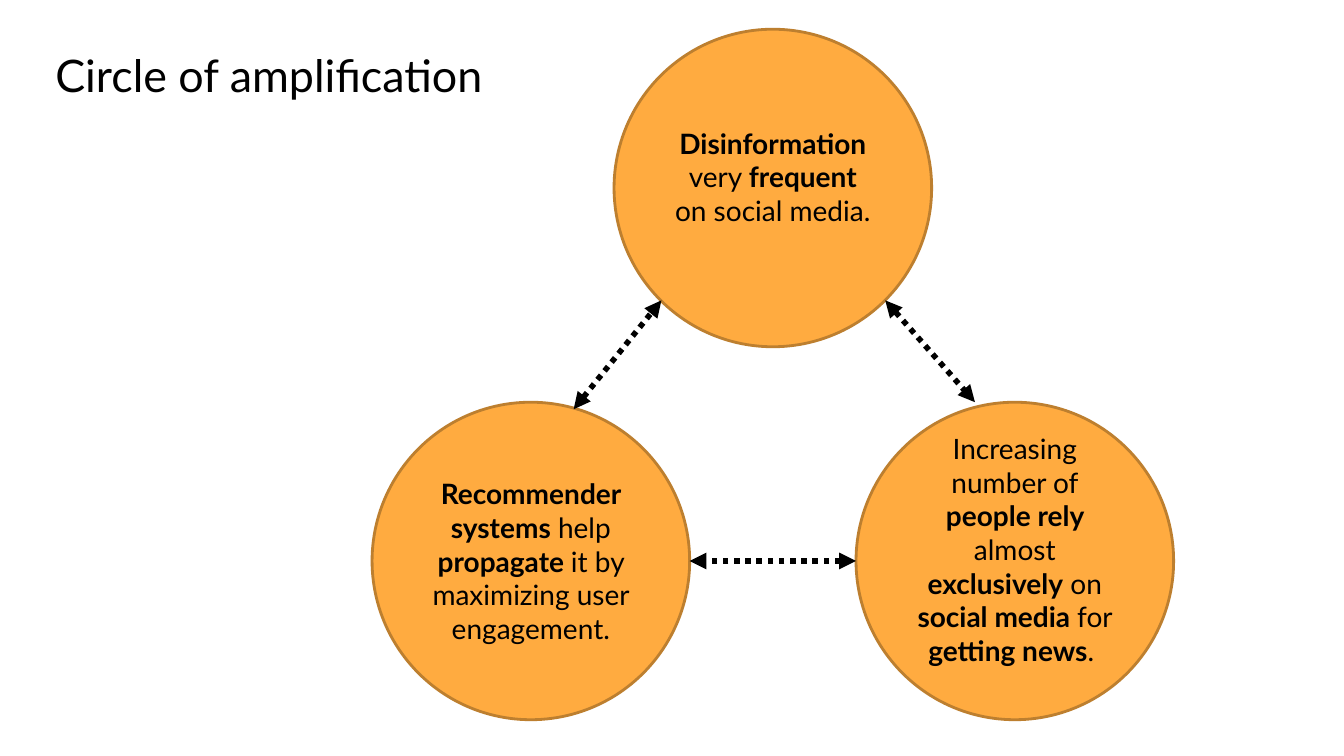
from lxml import etree
from pptx import Presentation
from pptx import util as u
from pptx.dml.color import RGBColor
from pptx.enum import dml, shapes, text
from pptx.oxml.ns import qn

COLORS = {"ink": "000000", "fill": "FFAB40", "edge": "BD7F2F"}
SIZE = 3.15  # circle diameter
LOW = 3.99  # top of the lower row


def color(name):
    return RGBColor.from_string(COLORS[name])


def write(frame, words, font="Lato", size=20, align=None, anchor=None,
          insets=(0.1, 0.1, 0.1, 0.1)):
    """Fill a text frame; stretches between ** marks are bold."""
    frame.word_wrap = True
    frame.vertical_anchor = anchor
    (frame.margin_left, frame.margin_top,
     frame.margin_right, frame.margin_bottom) = map(u.Inches, insets)
    para = frame.paragraphs[0]
    para.alignment = align
    for i, part in enumerate(words.split("**")):
        if part:
            run = para.add_run()
            run.text = part
            run.font.name = font
            run.font.size = u.Pt(size)
            run.font.bold = i % 2 == 1
            run.font.color.rgb = color("ink")


class Deck:
    def __init__(self):
        self.prs = Presentation()
        self.prs.slide_width = u.Inches(13.33)
        self.prs.slide_height = u.Inches(7.5)
        self.slide = self.prs.slides.add_slide(self.prs.slide_layouts[6])

    def title(self, words, *box):
        shape = self.slide.shapes.add_textbox(*map(u.Inches, box))
        write(shape.text_frame, words, size=32, anchor=text.MSO_ANCHOR.TOP)

    def circle(self, words, left, top, lift=0):
        """Add a circle; lift is extra room below its text."""
        shape = self.slide.shapes.add_shape(
            shapes.MSO_SHAPE.OVAL, *map(u.Inches, (left, top, SIZE, SIZE)))
        shape.shadow.inherit = False
        shape.fill.solid()
        shape.fill.fore_color.rgb = color("fill")
        shape.line.color.rgb = color("edge")
        shape.line.width = u.Pt(2)
        write(shape.text_frame, words, align=text.PP_ALIGN.CENTER,
              anchor=text.MSO_ANCHOR.MIDDLE, insets=(0.1, 0, 0.1, lift))

    def arrow(self, *ends):
        """Add a dotted line with a head at both ends."""
        link = self.slide.shapes.add_connector(
            shapes.MSO_CONNECTOR.STRAIGHT, *map(u.Inches, ends))
        link.line.color.rgb = color("ink")
        link.line.width = u.Pt(4)
        link.line.dash_style = dml.MSO_LINE.ROUND_DOT
        props = link.line._get_or_add_ln()
        for tag in ("a:headEnd", "a:tailEnd"):
            etree.SubElement(props, qn(tag), type="triangle")
        etree.SubElement(link._element.spPr, qn("a:effectLst"))


def main():
    deck = Deck()
    deck.title("Circle of amplification", 0.45, 0.37, 12.42, 0.84)
    deck.circle("**Disinformation** very **frequent** on social media.",
                6.09, 0.29, lift=0.23)
    deck.circle("Increasing number of **people rely **almost **exclusively** on "
                "**social media **for **getting news**. ", 8.49, LOW, lift=0.23)
    deck.circle("**Recommender systems** help **propagate **it by maximizing "
                "user engagement.", 3.69, LOW)
    mid = LOW + SIZE / 2
    deck.arrow(8.78, 2.98, 9.67, LOW)
    deck.arrow(5.69, 4.06, 6.56, 2.98)
    deck.arrow(8.49, mid, 3.69 + SIZE, mid)
    deck.prs.save("out.pptx")


if __name__ == "__main__":
    main()
